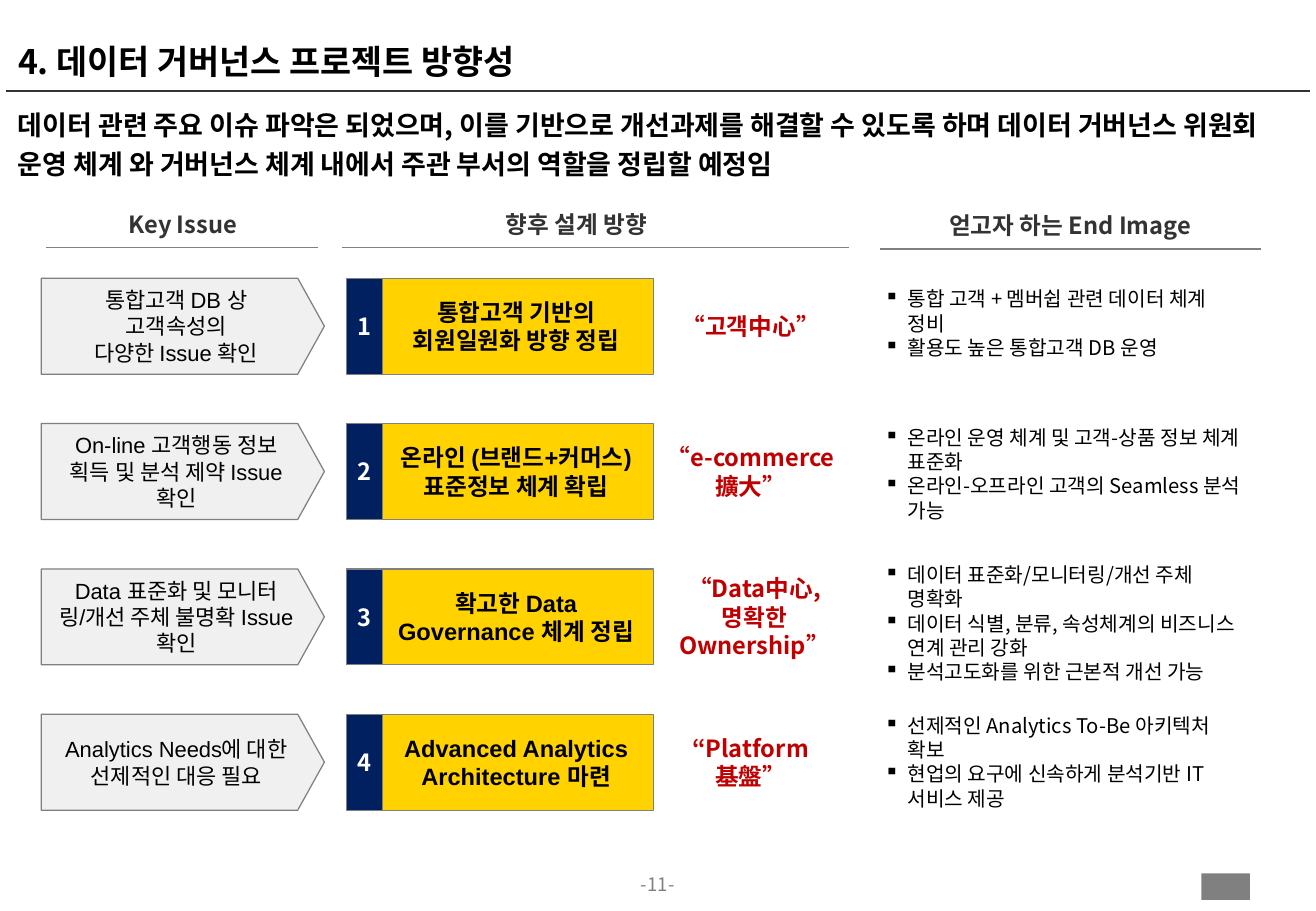
from lxml import etree
from pptx import Presentation
from pptx import util as u
from pptx.dml.color import RGBColor
from pptx.enum import shapes, text
from pptx.oxml import ns

Pt = u.Pt
BLACK = RGBColor(0, 0, 0)
WHITE = RGBColor(255, 255, 255)
DARK = RGBColor(0x33, 0x33, 0x33)
GREY = RGBColor(0x80, 0x80, 0x80)
PALE = RGBColor(0xF0, 0xF0, 0xF0)
GOLD = RGBColor(0xFF, 0xD2, 0)
NAVY = RGBColor(0, 0x20, 0x60)
RED = RGBColor(0xC0, 0, 0)
NOTO, ARIAL = "Noto Sans CJK KR", "Arial"
MID, TOP, LOW = (text.MSO_ANCHOR.MIDDLE, text.MSO_ANCHOR.TOP,
                 text.MSO_ANCHOR.BOTTOM)
CENTER, LEFT = text.PP_ALIGN.CENTER, text.PP_ALIGN.LEFT

# Content
TITLE = "4. 데이터 거버넌스 프로젝트 방향성"
LEAD = ("데이터 관련 주요 이슈 파악은 되었으며, 이를 기반으로 개선과제를 해결할 수 있도록 "
        "하며 데이터 거버넌스 위원회 운영 체계 와 거버넌스 체계 내에서 주관 부서의 역할을 정립할 예정임")
# heading, text left, text width, rule start, rule end, rule y
HEADS = [
    ("Key Issue", 39.6, 137.5, 27.4, 188.6, 146.9),
    ("향후 설계 방향", 231.1, 221, 203, 503.3, 146.9),
    ("얻고자 하는 End Image", 542.9, 182.9, 521.3, 747.4, 147.6),
]
# issue, direction, slogan, end image, slogan left and end image top
ROWS = [
    (["통합고객 DB 상 고객속성의", "다양한 Issue 확인"],
     ["통합고객 기반의", "회원일원화 방향 정립"],
     ["“고객中心”"],
     ["통합 고객 + 멤버쉽 관련 데이터 체계 정비", "활용도 높은 통합고객 DB 운영"],
     388.8, 167),
    (["On-line 고객행동 정보 획득 및 분석 제약 Issue 확인"],
     ["온라인 (브랜드+커머스)", "표준정보 체계 확립"],
     ["“e-commerce 擴大”"],
     ["온라인 운영 체계 및 고객-상품 정보 체계 표준화",
      "온라인-오프라인 고객의 Seamless 분석 가능"],
     388.8, 249.1),
    (["Data 표준화 및 모니터링/개선 주체 불명확 Issue 확인"],
     ["확고한 Data", "Governance 체계 정립"],
     ["“Data中心, 명확한 Ownership”"],
     ["데이터 표준화/모니터링/개선 주체 명확화",
      "데이터 식별, 분류, 속성체계의 비즈니스 연계 관리 강화",
      "분석고도화를 위한 근본적 개선 가능"],
     391, 330.5),
    (["Analytics Needs에 대한 선제적인 대응 필요"],
     ["Advanced Analytics", "Architecture 마련"],
     ["“Platform", "基盤”"],
     ["선제적인 Analytics To-Be 아키텍처 확보",
      "현업의 요구에 신속하게 분석기반 IT 서비스 제공"],
     388.8, 419.8),
]

deck = Presentation()
deck.slide_width, deck.slide_height = Pt(780), Pt(540)
page = deck.slides.add_slide(deck.slide_layouts[6])


def write(shape, lines, size, color, bold=False, face=NOTO, align=CENTER,
          anchor=MID, pad=(2.9, 2.9), bullet=False, para={}):
    """Fill a shape with one paragraph for each line."""
    frame = shape.text_frame
    form = dict(word_wrap=True, vertical_anchor=anchor,
                margin_left=Pt(pad[0]), margin_right=Pt(pad[0]),
                margin_top=Pt(pad[1]), margin_bottom=Pt(pad[1]))
    for key, val in form.items():
        setattr(frame, key, val)
    for i, line in enumerate(lines):
        p = frame.add_paragraph() if i else frame.paragraphs[0]
        for key, val in dict(para, alignment=align).items():
            setattr(p, key, val)
        if bullet:
            prop = p._p.get_or_add_pPr()
            prop.set("marL", str(Pt(13.7)))
            prop.set("indent", str(-Pt(13.7)))
            etree.SubElement(prop, ns.qn("a:buChar")).set("char", "▪")
        run = p.add_run()
        run.text = line
        for key, val in dict(size=Pt(size), bold=bold, name=face).items():
            setattr(run.font, key, val)
        run.font.color.rgb = color
        east = etree.SubElement(run._r.get_or_add_rPr(), ns.qn("a:ea"))
        east.set("typeface", NOTO)


def label(x, y, w, h, lines, size, color, **form):
    box = page.shapes.add_textbox(Pt(x), Pt(y), Pt(w), Pt(h))
    write(box, lines, size, color, **form)


def block(kind, x, y, w, h, fill, edge=None):
    shape = page.shapes.add_shape(kind, Pt(x), Pt(y), Pt(w), Pt(h))
    shape.shadow.inherit = False
    shape.fill.solid()
    shape.fill.fore_color.rgb = fill
    if edge is None:
        shape.line.fill.background()
    else:
        shape.line.color.rgb = edge
        shape.line.width = Pt(0.75)
    return shape


def arrow(x, y, w, fill, point, lines, size, color, **form):
    shape = block(shapes.MSO_SHAPE.PENTAGON, x, y, w, 56.9, fill, GREY)
    shape.adjustments[0] = point
    write(shape, lines, size, color, **form)


def rule(x, end, y, color, width):
    line = page.shapes.add_connector(shapes.MSO_CONNECTOR.STRAIGHT,
                                     Pt(x), Pt(y), Pt(end), Pt(y))
    line.line.color.rgb = color
    line.line.width = Pt(width)
    etree.SubElement(line._element.spPr, ns.qn("a:effectLst"))


# Title and lead
WIDE = dict(bold=True, align=LEFT, pad=(7.2, 3.6))
rule(3.6, 776.2, 54, DARK, 1)
label(3.6, 3.6, 771.8, 48.2, [TITLE], 20, BLACK, anchor=LOW,
      para=dict(line_spacing=0.85), **WIDE)
label(3.6, 56.9, 772.6, 40.3, [LEAD], 16, BLACK, anchor=TOP,
      para=dict(line_spacing=1.2, space_after=Pt(9)), **WIDE)

# Column headings
for head, x, w, start, end, y in HEADS:
    rule(start, end, y, GREY, 0.75)
    label(x, y - 24.5, w, 20.9, [head], 14, DARK, bold=True)

# Rows
for i, (issue, plan, slogan, goals, left, top) in enumerate(ROWS):
    y = 164.9 + 86.15 * i
    arrow(24.5, y, 167.8, PALE, 0.278, issue, 13, BLACK, face=ARIAL,
          pad=(7.2, 3.6))
    arrow(224.6, y, 162.7, GOLD, 0, plan, 14, BLACK, bold=True, face=ARIAL,
          pad=(7.2, 3.6))
    arrow(205.2, y, 21.6, NAVY, 0, [str(i + 1)], 14, WHITE, bold=True)
    label(left, y + 18, 112.3, 20.9, slogan, 14, RED, bold=True)
    label(521.3, top, 220.3, 30.2, goals, 12, BLACK, align=LEFT, anchor=TOP,
          bullet=True)

# Footer
label(359.3, 517.7, 61.2, 15.8, ["-11-"], 11, GREY, anchor=TOP, pad=(0, 0))
block(shapes.MSO_SHAPE.RECTANGLE, 712.1, 517.7, 28.8, 15.8, GREY)

deck.save("out.pptx")
